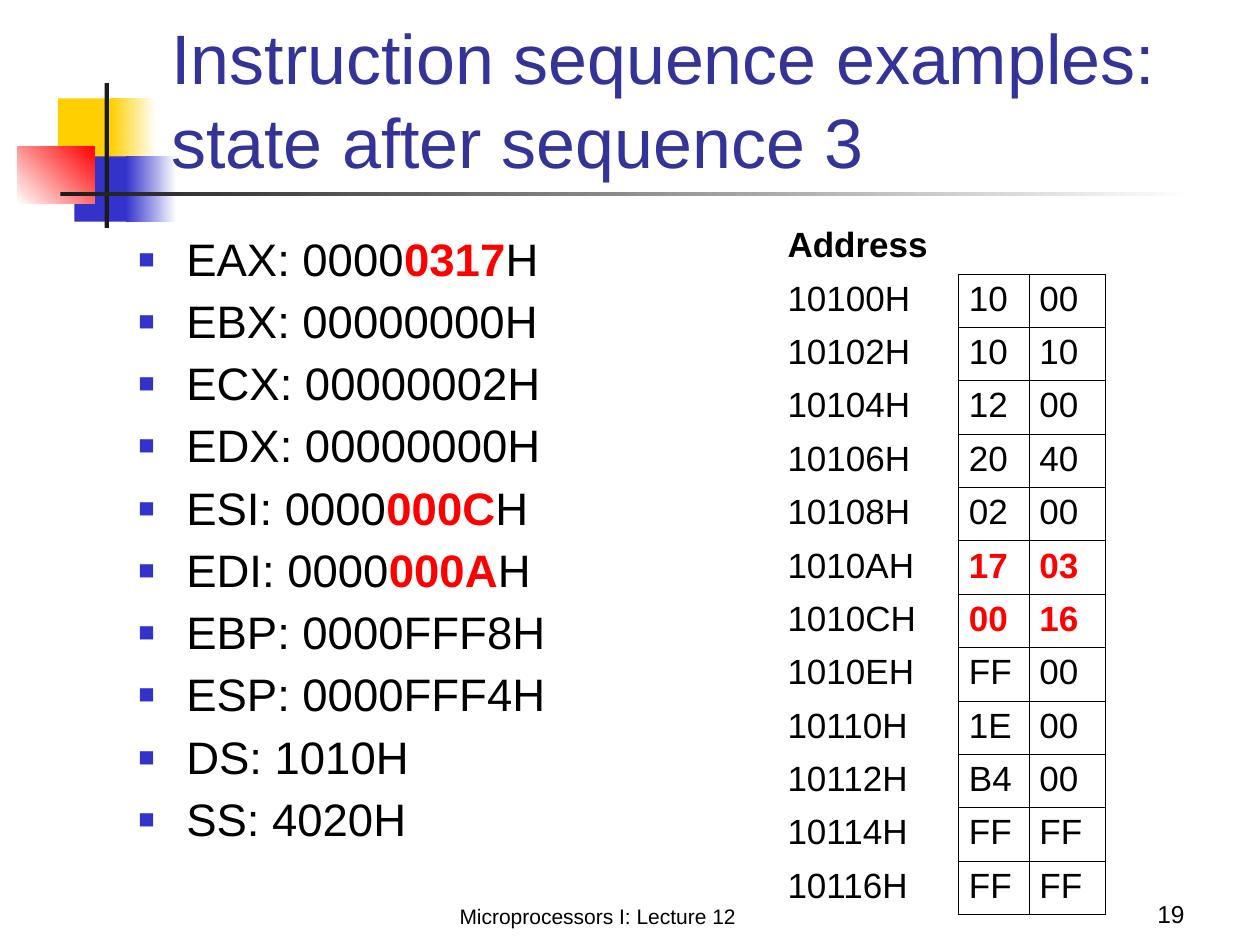
from pptx import Presentation
from pptx import util as u
from pptx.dml.color import RGBColor
from pptx.enum import shapes, text
from pptx.oxml import parse_xml
from pptx.oxml.ns import nsdecls

LEFT, MID, RIGHT, FULL = (text.PP_ALIGN.LEFT, text.PP_ALIGN.CENTER,
                          text.PP_ALIGN.RIGHT, text.PP_ALIGN.JUSTIFY)
TOP, LOW = text.MSO_ANCHOR.TOP, text.MSO_ANCHOR.BOTTOM
BLACK, WHITE, RED, BLUE = "000000", "FFFFFF", "FF0000", "3333CC"
GOLD, INK, NAVY = "FFCF01", "1C1C1C", "333399"


def rgb(code):
    return RGBColor.from_string(code)


def mark(par, code):
    """Give a paragraph a hanging square bullet."""
    props = par._p.get_or_add_pPr()
    props.set("marL", str(u.Inches(0.38)))
    props.set("indent", str(-u.Inches(0.38)))
    for part in (f'<a:buClr {nsdecls("a")}><a:srgbClr val="{code}"/></a:buClr>',
                 f'<a:buSzPct {nsdecls("a")} val="60000"/>',
                 f'<a:buFont {nsdecls("a")} typeface="Arial"/>',
                 f'<a:buChar {nsdecls("a")} char="■"/>'):
        props.append(parse_xml(part))


def write(frame, lines, size, color=BLACK, bold=False, align=LEFT,
          space=None, gap=0, bullet=None):
    """Fill a text frame; parts between asterisks are bold red."""
    for i, line in enumerate(lines):
        par = frame.paragraphs[0] if i == 0 else frame.add_paragraph()
        par.alignment = align
        if space:
            par.line_spacing = space
        par.space_before = u.Pt(gap if i else 0)
        if bullet:
            mark(par, bullet)
        for j, part in enumerate(line.split("*")):
            if not part:
                continue
            run = par.add_run()
            run.text = part
            font = run.font
            font.name, font.size = "Arial", u.Pt(size)
            font.bold = bold or j % 2 == 1
            font.color.rgb = rgb(RED if j % 2 else color)


def edge(cell, **sides):
    """Draw cell borders, given as side=colour."""
    props = cell._tc.get_or_add_tcPr()
    for i, side in enumerate("LRTB"):
        props.insert(i, parse_xml(
            f'<a:ln{side} {nsdecls("a")} w="{u.Pt(0.45)}"><a:solidFill>'
            f'<a:srgbClr val="{sides[side]}"/></a:solidFill></a:ln{side}>'))


class Deck:
    """Current slide on a grid of 100 columns by 75 rows."""

    def __init__(self):
        self.prs = Presentation()
        self.prs.slide_width, self.prs.slide_height = u.Inches(10), u.Inches(7.5)
        self.col = self.prs.slide_width / 100
        self.row = self.prs.slide_height / 75
        self.slide = self.prs.slides.add_slide(self.prs.slide_layouts[5])
        self.items = self.slide.shapes

    def area(self, x, y, w, h):
        return (int(x * self.col), int(y * self.row),
                int(w * self.col), int(h * self.row))

    def title(self, line, box):
        head = self.items.title
        head.left, head.top, head.width, head.height = self.area(*box)
        frame = head.text_frame
        frame.auto_size = text.MSO_AUTO_SIZE.NONE
        frame.vertical_anchor = LOW
        write(frame, [line], 40, color=NAVY)
        self.items._spTree.append(head._element)  # in front of the decor

    def block(self, box, color, fade=None, angle=0):
        shape = self.items.add_shape(shapes.MSO_SHAPE.RECTANGLE, *self.area(*box))
        shape.shadow.inherit = False
        shape.line.fill.background()
        if fade:
            shape.fill.gradient()
            shape.fill.gradient_angle = angle
            for stop, code in zip(shape.fill.gradient_stops, (color, fade)):
                stop.color.rgb = rgb(code)
        else:
            shape.fill.solid()
            shape.fill.fore_color.rgb = rgb(color)

    def text(self, box, lines, size, anchor=TOP, **form):
        frame = self.items.add_textbox(*self.area(*box)).text_frame
        frame.word_wrap = True
        frame.vertical_anchor = anchor
        write(frame, lines, size, **form)

    def table(self, box, cols, rows):
        grid = self.items.add_table(len(rows), len(cols), *self.area(*box)).table
        grid.first_row = grid.horz_banding = False
        for column, width in zip(grid.columns, cols):
            column.width = int(width * self.col)
        for r, row in enumerate(rows):
            for c, word in enumerate(row):
                cell = grid.cell(r, c)
                cell.fill.solid()
                cell.fill.fore_color.rgb = rgb(WHITE)
                cell.margin_left = cell.margin_right = u.Inches(0.08)
                cell.margin_top = cell.margin_bottom = u.Pt(3.25)
                write(cell.text_frame, [word], 20, bold=r == 0,
                      align=LEFT if c else FULL)
                # Only the memory bytes are framed in black
                data = r > 0 and c > 0
                edge(cell, L=BLACK if data else WHITE,
                     R=BLACK if r else WHITE,
                     T=BLACK if data else WHITE,
                     B=BLACK if c else WHITE)


def main():
    deck = Deck()

    # Corner decor and rule under the title
    deck.block((4.6, 7.8, 4.8, 5.2), GOLD)
    deck.block((8.8, 7.8, 3.6, 5.2), GOLD, WHITE)
    deck.block((5.9, 12.4, 4.6, 5.2), BLUE)
    deck.block((10, 12.4, 4, 5.2), BLUE, WHITE)
    deck.block((1.4, 11.6, 6.1, 4.6), WHITE, RED, angle=45)
    deck.block((8.3, 6.6, 0.35, 11.5), INK)
    deck.block((4.8, 15.2, 90, 0.35), INK, WHITE)
    deck.title("Instruction sequence examples: state after sequence 3",
               (12.6, 2.5, 85.2, 12.5))

    # Registers
    deck.text((10, 18.3, 43.1, 48.7), [
        "EAX: 0000*0317*H", "EBX: 00000000H", "ECX: 00000002H",
        "EDX: 00000000H", "ESI: 0000*000C*H", "EDI: 0000*000A*H",
        "EBP: 0000FFF8H", "ESP: 0000FFF4H", "DS: 1010H", "SS: 4020H",
    ], 26, space=0.9, gap=7.5, bullet=BLUE)

    # Memory: two bytes per row, addresses counted up from 10100H
    pairs = ["10 00", "10 10", "12 00", "20 40", "02 00", "*17* *03*",
             "*00* *16*", "FF 00", "1E 00", "B4 00", "FF FF", "FF FF"]
    rows = [["Address", "", ""]]
    for i, pair in enumerate(pairs):
        rows.append([f"{0x10100 + 2 * i:X}H", *pair.split()])
    deck.table((61.7, 17.5, 26, 4.1 * len(rows)), (14.4, 5.6, 6), rows)

    # Footer and slide number
    deck.text((20.8, 69.2, 53.3, 5), ["Microprocessors I: Lecture 12"], 12,
              anchor=LOW, align=MID)
    deck.text((74.2, 69.2, 20.8, 5), ["19"], 14, anchor=LOW, align=RIGHT)

    deck.prs.save("out.pptx")


if __name__ == "__main__":
    main()
